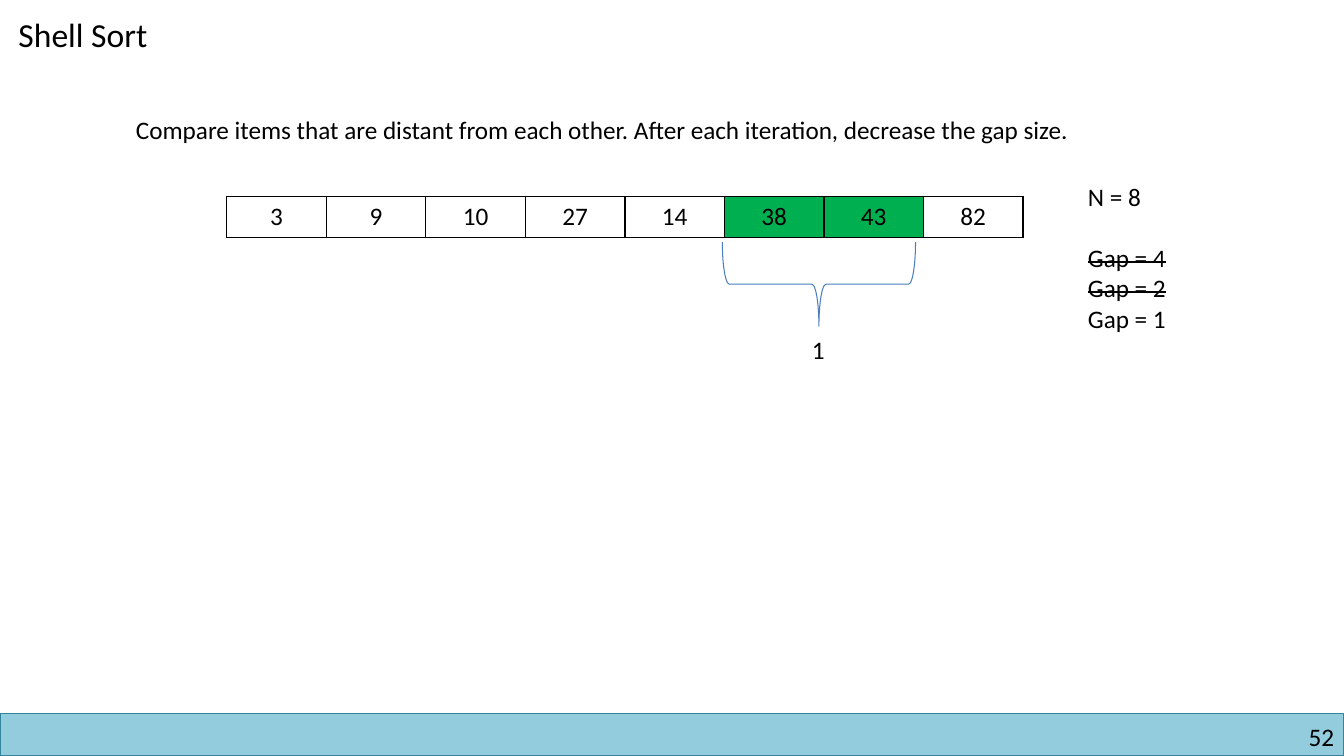
from lxml import etree
from pptx import Presentation
from pptx.dml.color import RGBColor
from pptx.enum import shapes, text
from pptx.oxml.ns import qn
from pptx.util import Pt

FONT = "Calibri"
BLACK, WHITE, GREEN = "000000", "FFFFFF", "00B050"
LEFT, MID, RIGHT = text.PP_ALIGN.LEFT, text.PP_ALIGN.CENTER, text.PP_ALIGN.RIGHT


def color(hex):
    return RGBColor.from_string(hex)


def add_run(para, words, size=18, struck=False):
    run = para.add_run()
    run.text = words
    run.font.name, run.font.size = FONT, Pt(size)
    run.font.color.rgb = color(BLACK)
    if struck:
        run.font._element.set("strike", "sngStrike")


def place(shape, left, top, width, height):
    shape.left, shape.top = Pt(left), Pt(top)
    shape.width, shape.height = Pt(width), Pt(height)


def add_title(slide, words):
    title = slide.shapes.title
    place(title, 6, 6, 400, 36)
    frame = title.text_frame
    frame.auto_size = text.MSO_AUTO_SIZE.NONE
    frame.vertical_anchor = text.MSO_ANCHOR.TOP
    para = frame.paragraphs[0]
    para.alignment = LEFT
    add_run(para, words, 24)


def add_text(slide, box, lines, align=LEFT, inset=True):
    """Write one paragraph per (words, struck, space before) entry."""
    frame = slide.shapes.add_textbox(*map(Pt, box)).text_frame
    frame.word_wrap = True
    if not inset:
        frame.margin_left = frame.margin_right = 0
        frame.margin_top = frame.margin_bottom = 0
    for i, (words, struck, space) in enumerate(lines):
        para = frame.paragraphs[0] if i == 0 else frame.add_paragraph()
        para.alignment = align
        if space:
            para.space_before = Pt(space)
        add_run(para, words, struck=struck)


def add_shape(slide, kind, box, line, fill=None):
    shape = slide.shapes.add_shape(kind, *map(Pt, box))
    shape.shadow.inherit = False
    if fill:
        shape.fill.solid()
        shape.fill.fore_color.rgb = color(fill)
    else:
        shape.fill.background()
    shape.line.color.rgb = color(line)
    shape.line.width = Pt(0.75)
    return shape


def add_border(cell):
    props = cell._tc.get_or_add_tcPr()
    for i, side in enumerate(("lnL", "lnR", "lnT", "lnB")):
        edge = etree.Element(qn(f"a:{side}"), w=str(Pt(1)))
        fill = etree.SubElement(edge, qn("a:solidFill"))
        etree.SubElement(fill, qn("a:srgbClr"), val=BLACK)
        props.insert(i, edge)


def add_array(slide, box, items, marked):
    """Draw a one-row table with the marked items in green."""
    table = slide.shapes.add_table(1, len(items), *map(Pt, box)).table
    table.first_row = table.horz_banding = False
    for i, item in enumerate(items):
        cell = table.cell(0, i)
        cell.fill.solid()
        cell.fill.fore_color.rgb = color(GREEN if item in marked else WHITE)
        add_border(cell)
        cell.vertical_anchor = text.MSO_ANCHOR.MIDDLE
        para = cell.text_frame.paragraphs[0]
        para.alignment = MID
        add_run(para, str(item))


def main():
    deck = Presentation()
    deck.slide_width, deck.slide_height = Pt(960), Pt(540)
    slide = deck.slides.add_slide(deck.slide_layouts[5])
    kinds = shapes.MSO_SHAPE

    add_shape(slide, kinds.RECTANGLE, (0, 509.5, 960, 30.5), "31859C", "93CDDD")
    add_text(slide, (732, 515, 221, 22), [("52", False, 0)], RIGHT, False)

    add_title(slide, "Shell Sort")
    add_text(slide, (90, 78, 746, 29), [(
        "Compare items that are distant from each other. "
        "After each iteration, decrease the gap size.", False, 0)])

    add_array(slide, (162, 140.4, 568.8, 29.5),
              (3, 9, 10, 27, 14, 38, 43, 82), {38, 43})
    add_text(slide, (770, 126, 80, 117), [
        ("N = 8", False, 0),
        ("Gap = 4", True, 22),
        ("Gap = 2", True, 0),
        ("Gap = 1", False, 0),
    ])

    brace = add_shape(slide, kinds.LEFT_BRACE, (555, 134, 60, 138), "4B7EBC")
    brace.rotation = 270
    add_text(slide, (572, 235, 25, 29), [("1", False, 0)], MID)

    deck.save("out.pptx")


if __name__ == "__main__":
    main()
